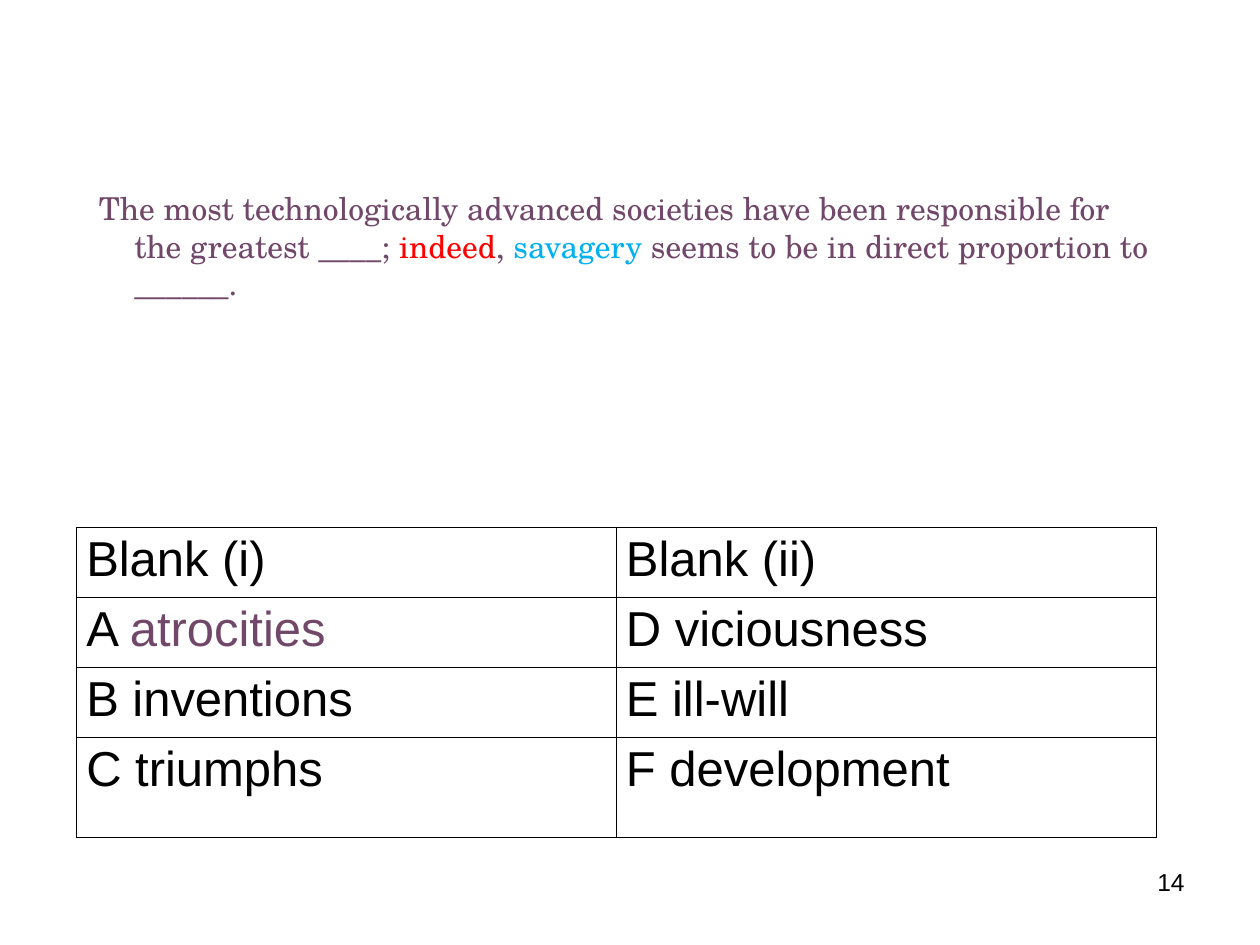
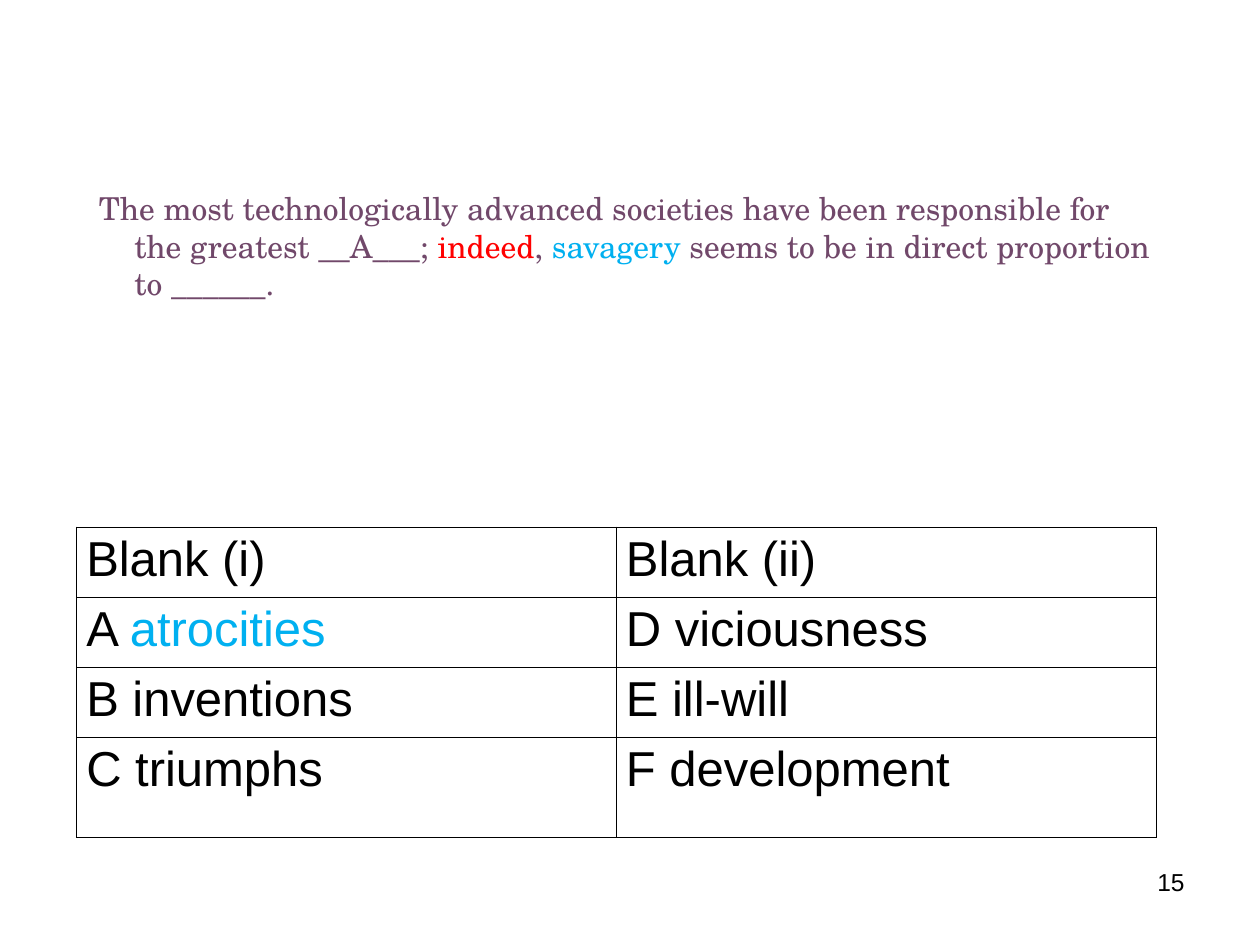
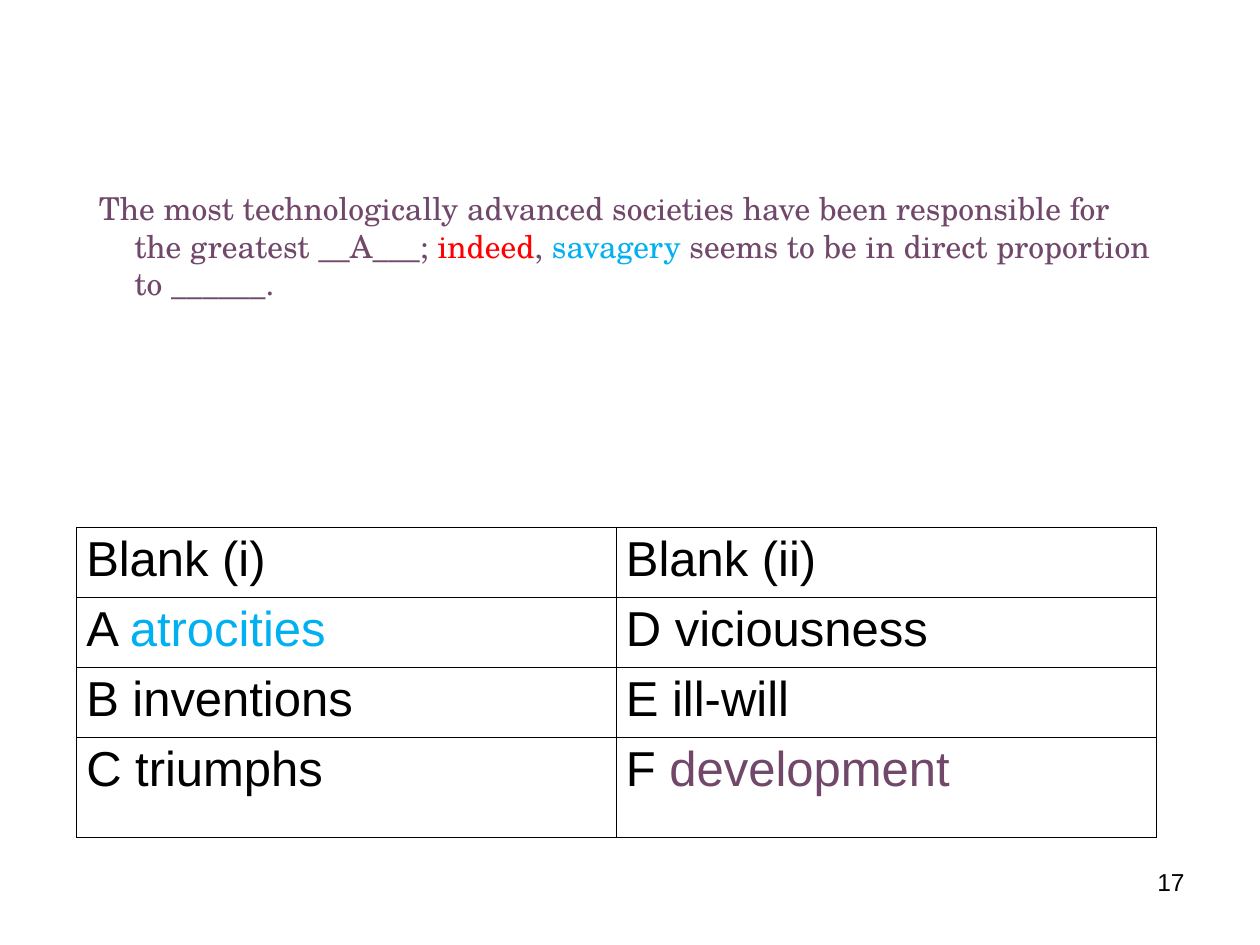
import pptx
import pptx.dml.color
import pptx.enum.text
import pptx.oxml
import pptx.util
from pptx.oxml.ns import nsdecls

Pt = pptx.util.Pt
ALIGN = pptx.enum.text.PP_ALIGN

BLACK = pptx.dml.color.RGBColor(0x00, 0x00, 0x00)
PLUM = pptx.dml.color.RGBColor(0x71, 0x48, 0x6A)
RED = pptx.dml.color.RGBColor(0xFF, 0x00, 0x00)
BLUE = pptx.dml.color.RGBColor(0x00, 0xB0, 0xF0)

SENTENCE_FONT = "TeX Gyre Schola"
TABLE_FONT = "Arial"
BORDER_WIDTH = Pt(0.11)
COLUMN_WIDTHS = [308.4, 308.6]
ROW_HEIGHTS = [38.5, 38.5, 38.5, 57.6]
CHOICES = [
    ("Blank (i)", "Blank (ii)"),
    ("A atrocities", "D viciousness"),
    ("B inventions", "E ill-will"),
    ("C triumphs", "F development"),
]

# Page number, text of the first blank, colours of the highlighted answers
STEPS = [
    (14, "____", {"atrocities": PLUM}),
    (15, "__A___", {"atrocities": BLUE}),
    (17, "__A___", {"atrocities": BLUE, "development": PLUM}),
]


def add_runs(paragraph, parts, font_name, size):
    """Add (text, colour) parts to a paragraph in one font."""
    for text, colour in parts:
        run = paragraph.add_run()
        run.text = text
        run.font.name = font_name
        run.font.size = Pt(size)
        run.font.color.rgb = colour


def set_borders(cell):
    """Draw a thin black line on all four sides of a cell."""
    properties = cell._tc.get_or_add_tcPr()
    for position, side in enumerate(("lnL", "lnR", "lnT", "lnB")):
        line = pptx.oxml.parse_xml(
            f'<a:{side} {nsdecls("a")} w="{BORDER_WIDTH}"><a:solidFill>'
            f'<a:srgbClr val="{BLACK}"/></a:solidFill></a:{side}>'
        )
        properties.insert(position, line)


presentation = pptx.Presentation()
presentation.slide_width = Pt(720)
presentation.slide_height = Pt(540)
blank_layout = presentation.slide_layouts[6]

for page_number, first_blank, highlights in STEPS:
    slide = presentation.slides.add_slide(blank_layout)

    # Page number
    number_box = slide.shapes.add_textbox(Pt(516.2), Pt(491.8), Pt(167.8), Pt(37.4))
    number_box.text_frame.word_wrap = True
    paragraph = number_box.text_frame.paragraphs[0]
    paragraph.alignment = ALIGN.RIGHT
    add_runs(paragraph, [(str(page_number), BLACK)], TABLE_FONT, 14)

    # Sentence with a hanging indent
    sentence_box = slide.shapes.add_textbox(Pt(42.5), Pt(104.4), Pt(629.3), Pt(381.6))
    sentence_box.text_frame.word_wrap = True
    paragraph = sentence_box.text_frame.paragraphs[0]
    indent = paragraph._p.get_or_add_pPr()
    indent.set("marL", str(Pt(27.2)))
    indent.set("indent", str(Pt(-20.2)))
    sentence = [
        ("The most technologically advanced societies have been responsible "
         f"for the greatest {first_blank}; ", PLUM),
        ("indeed", RED),
        (", ", PLUM),
        ("savagery", BLUE),
        (" seems to be in direct proportion to ______.", PLUM),
    ]
    add_runs(paragraph, sentence, SENTENCE_FONT, 18)

    # Answer table
    table = slide.shapes.add_table(
        len(CHOICES), len(COLUMN_WIDTHS), Pt(43.5), Pt(301),
        Pt(sum(COLUMN_WIDTHS)), Pt(sum(ROW_HEIGHTS)),
    ).table
    table.first_row = False
    table.horz_banding = False
    for column, width in zip(table.columns, COLUMN_WIDTHS):
        column.width = Pt(width)
    for row, height, choices in zip(table.rows, ROW_HEIGHTS, CHOICES):
        row.height = Pt(height)
        for cell, choice in zip(row.cells, choices):
            cell.margin_left = cell.margin_right = Pt(5.8)
            cell.margin_top = cell.margin_bottom = Pt(3.2)
            cell.fill.background()
            set_borders(cell)
            label, word = choice.split(" ")
            paragraph = cell.text_frame.paragraphs[0]
            paragraph.alignment = ALIGN.JUSTIFY
            parts = [(f"{label} ", BLACK), (word, highlights.get(word, BLACK))]
            add_runs(paragraph, parts, TABLE_FONT, 28)

presentation.save("out.pptx")
